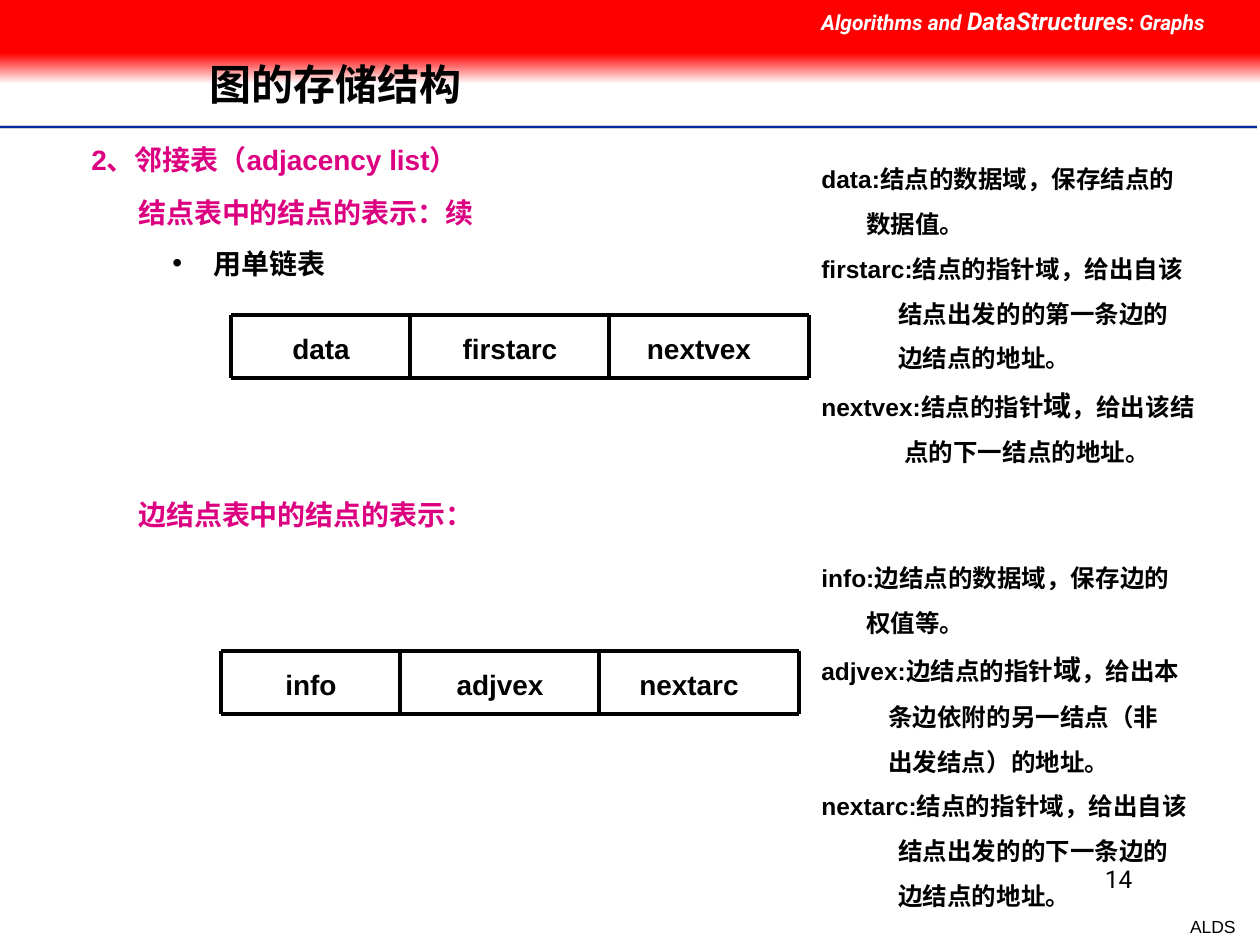
"""Build the slide on adjacency-list storage of graphs."""
from lxml import etree
from pptx import Presentation, util as u
from pptx.dml.color import RGBColor
from pptx.enum import shapes, text
from pptx.oxml.ns import qn

EMU_PER_PX = 914400 / 126
BLACK, WHITE, RED, PINK = "000000", "FFFFFF", "FF0000", "DC0081"
LEFT, CENTER, RIGHT = text.PP_ALIGN.LEFT, text.PP_ALIGN.CENTER, text.PP_ALIGN.RIGHT


def px(*lengths):
    return [u.Emu(round(length * EMU_PER_PX)) for length in lengths]


def color(code):
    return RGBColor.from_string(code)


deck = Presentation()
deck.slide_width, deck.slide_height = px(1260, 945)
page = deck.slides.add_slide(deck.slide_layouts[6])

bands = [page.shapes.add_shape(shapes.MSO_SHAPE.RECTANGLE, *px(0, top, 1260, height))
         for top, height in ((53, 31), (0, 53))]
for band in bands:
    band.shadow.inherit = False
    band.line.fill.background()
fade, banner = bands
banner.fill.solid()
banner.fill.fore_color.rgb = color(RED)
fade.fill.gradient()
fade.fill.gradient_angle = 270
for stop, position, code in zip(fade.fill.gradient_stops, (0, 1), (RED, WHITE)):
    stop.position = position
    stop.color.rgb = color(code)

records = [
    (231, 315, ("data", "firstarc", "nextvex")),
    (221, 651, ("info", "adjvex", "nextarc")),
]
lines = [
    (0, 127, 1257, 127, "CECECE", 2),
    (0, 127, 1257, 127, "00279F", 1),
    (0, 130, 1257, 130, WHITE, 1),
]
labels = []
for left, top, names in records:
    bottom = top + 63
    for y in (top, bottom):
        for start, end in ((0, 378), (378, 578)):
            lines.append((left + start, y, left + end, y, BLACK, 2.25))
    for x in (0, 179, 378, 578):
        lines.append((left + x, bottom, left + x, top, BLACK, 2.25))
    for column, name in enumerate(names):
        labels.append((left + 11 + 189 * column, top + 10, 158, 47, 16, BLACK, CENTER, 0, [(name, 0)]))

for x1, y1, x2, y2, code, weight in lines:
    line = page.shapes.add_connector(shapes.MSO_CONNECTOR.STRAIGHT, *px(x1, y1, x2, y2))
    line.line.color.rgb = color(code)
    line.line.width = u.Pt(weight)
    etree.SubElement(line._element.spPr, qn("a:effectLst"))

node_notes = [
    ("data:结点的数据域，保存结点的", 0),
    ("数据值。", 45),
    ("firstarc:结点的指针域，给出自该", 0),
    ("结点出发的的第一条边的", 77),
    ("边结点的地址。", 77),
    ("nextvex:结点的指针|域|，给出该结", 0),
    ("点的下一结点的地址。", 83),
]
edge_notes = [
    ("info:边结点的数据域，保存边的", 0),
    ("权值等。", 45),
    ("adjvex:边结点的指针|域|，给出本", 0),
    ("条边依附的另一结点（非", 67),
    ("出发结点）的地址。", 67),
    ("nextarc:结点的指针域，给出自该", 0),
    ("结点出发的的下一条边的", 77),
    ("边结点的地址。", 77),
]
blocks = labels + [
    (1177, 910, 71, 34, 10, BLACK, RIGHT, 0, [("ALDS", 0)]),
    (903, 858, 242, 63, 14, BLACK, RIGHT, 0, [("14", 0)]),
    (809, 0, 451, 43, 12, WHITE, LEFT, 0, [("Algorithms and |DataStructures|: Graphs", 0)]),
    (197, 40, 951, 93, 24, BLACK, LEFT, 0, [("图的存储结构", 0)]),
    (0, 136, 955, 47, 16, PINK, LEFT, 0, [("2、邻接表（adjacency list）", 79)]),
    (126, 189, 378, 97, 16, PINK, LEFT, 10, [("结点表中的结点的表示：续", 0), ("用单链表", 75)]),
    (809, 158, 451, 315, 14, BLACK, LEFT, 8.8, node_notes),
    (126, 491, 378, 47, 16, PINK, LEFT, 0, [("边结点表中的结点的表示：", 0)]),
    (809, 557, 451, 360, 14, BLACK, LEFT, 8.8, edge_notes),
]
for left, top, width, height, size, code, align, gap, rows in blocks:
    box = page.shapes.add_textbox(*px(left, top, width, height))
    frame = box.text_frame
    frame.word_wrap = size != 10
    if size == 24:
        frame.vertical_anchor = text.MSO_ANCHOR.MIDDLE
    for index, (words, indent) in enumerate(rows):
        para = frame.paragraphs[0] if index == 0 else frame.add_paragraph()
        para.alignment = align
        if index:
            para.space_before = u.Pt(gap)
        if size == 24:
            para.line_spacing = 0.9
        props = para._p.get_or_add_pPr()
        if indent:
            props.set("marL", str(px(indent)[0]))
        bulleted = words == "用单链表"
        if bulleted:
            props.set("indent", str(px(-41)[0]))
            tint = etree.SubElement(props, qn("a:buClr"))
            etree.SubElement(tint, qn("a:srgbClr"), val=BLACK)
            etree.SubElement(props, qn("a:buFont"), typeface="Arial")
            etree.SubElement(props, qn("a:buChar"), char="•")
        para.font.name = "Roboto" if words == "14" or size == 12 else "Arial"
        para.font.size = u.Pt(size)
        para.font.bold = size != 10 and words != "14"
        para.font.italic = size == 12
        para.font.color.rgb = color(BLACK if bulleted else code)
        for part, piece in enumerate(words.split("|")):
            span = para.add_run()
            span.text = piece
            if part % 2:
                span.font.size = u.Pt(size + 2)

deck.save("out.pptx")
